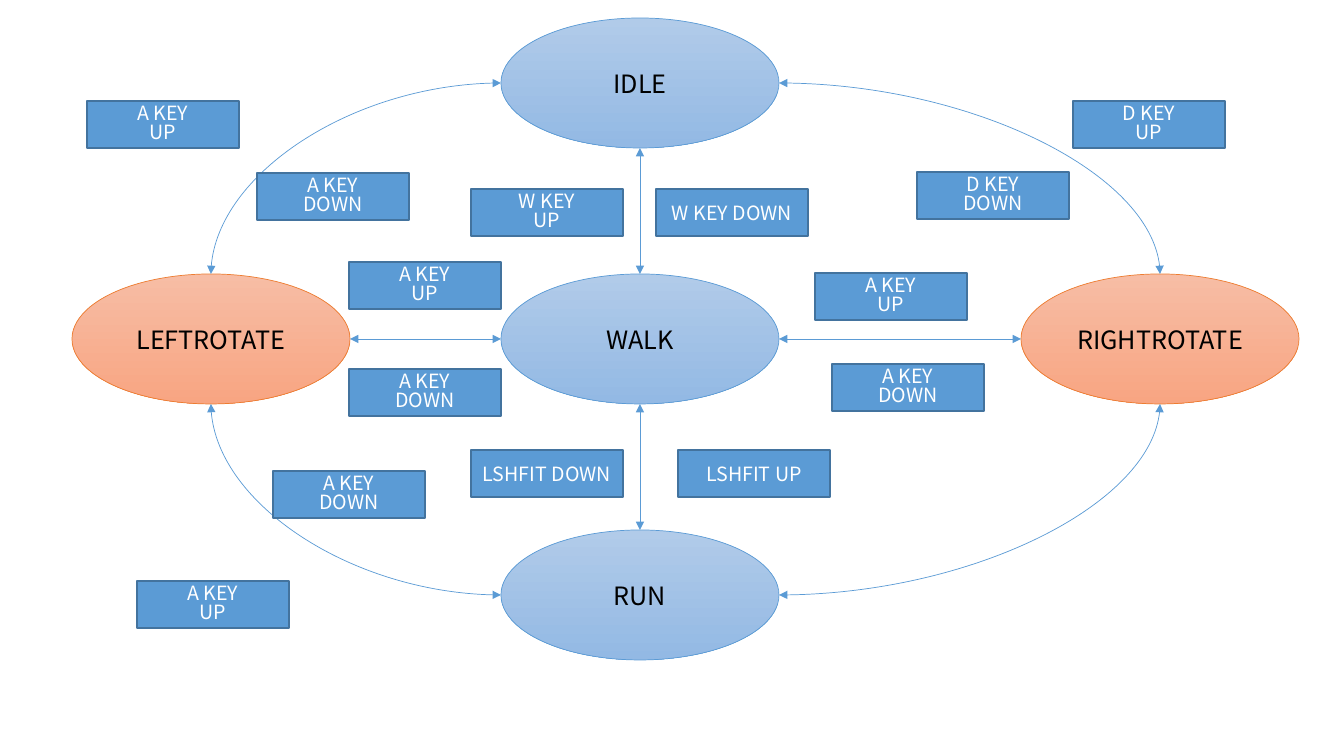
from pptx import Presentation
from pptx.dml.color import RGBColor as RGB
from pptx.enum.shapes import MSO_CONNECTOR as LINK, MSO_SHAPE as SHAPE
from pptx.enum.text import MSO_ANCHOR as ANCHOR, PP_ALIGN as ALIGN
from pptx.oxml.ns import qn
from pptx.util import Pt
from lxml.etree import SubElement as Sub

PX = 914400 / 100.8
HEX = {
    "blue": "5B9BD5", "edge": "43739E", "orange": "ED7D31",
    "black": "000000", "white": "FFFFFF",
    "blue top": "B1CBE9", "blue end": "93B9E4",
    "orange top": "F7BDA5", "orange end": "F8A582",
}
RGBS = {name: RGB.from_string(code) for name, code in HEX.items()}


def px(*vals):
    return [round(val * PX) for val in vals]


def add_node(kind, box, text, size, ink, edge, width):
    node = page.shapes.add_shape(kind, *px(*box))
    node.shadow.inherit = False
    node.line.color.rgb = RGBS[edge]
    node.line.width = Pt(width)
    frame = node.text_frame
    frame.text = text
    frame.word_wrap = True
    frame.vertical_anchor = ANCHOR.MIDDLE
    look = {"name": "Noto Sans CJK KR", "size": Pt(size)}
    for para in frame.paragraphs:
        para.alignment = ALIGN.CENTER
        if "\n" in text:
            para.line_spacing = 0.8
        for key, val in look.items():
            setattr(para.font, key, val)
        para.font.color.rgb = RGBS[ink]
    return node


deck = Presentation()
deck.slide_width, deck.slide_height = px(1344, 756)
page = deck.slides.add_slide(deck.slide_layouts[6])

# States: centre and half size of each ellipse
LEFT, MID, RIGHT = 211, 640, 1160
TOP, ROW, LOW = 83, 339, 595
HALF_W, HALF_H = 139, 65
states = [
    ("IDLE", MID, TOP, "blue"),
    ("WALK", MID, ROW, "blue"),
    ("RUN", MID, LOW, "blue"),
    ("LEFTROTATE", LEFT, ROW, "orange"),
    ("RIGHTROTATE", RIGHT, ROW, "orange"),
]
for name, x, y, hue in states:
    box = (x - HALF_W, y - HALF_H, 2 * HALF_W, 2 * HALF_H)
    fill = add_node(SHAPE.OVAL, box, name, 18, "black", hue, 0.5).fill
    fill.gradient()
    fill.gradient_angle = 270
    for stop, end in zip(fill.gradient_stops, ("top", "end")):
        stop.color.rgb = RGBS[f"{hue} {end}"]

# Links: straight ones along the axes, arcs around the corners
links = [
    (LINK.STRAIGHT, MID, TOP + HALF_H, MID, ROW - HALF_H),
    (LINK.STRAIGHT, MID, ROW + HALF_H, MID, LOW - HALF_H),
    (LINK.CURVE, LEFT + HALF_W, ROW, MID - HALF_W, ROW),
    (LINK.CURVE, MID + HALF_W, ROW, RIGHT - HALF_W, ROW),
]
for side, x in ((-1, LEFT), (1, RIGHT)):
    for turn, y in ((-1, TOP), (1, LOW)):
        links.append((LINK.CURVE, MID + side * HALF_W, y,
                      x, ROW + turn * HALF_H))
for kind, x1, y1, x2, y2 in links:
    link = page.shapes.add_connector(kind, *px(x1, y1, x2, y2))
    link.line.color.rgb = RGBS["blue"]
    link.line.width = Pt(0.5)
    props = link._element.spPr
    if x1 != x2 and y1 != y2:
        props.find(qn("a:prstGeom")).set("prst", "curvedConnector2")
    for end in ("a:headEnd", "a:tailEnd"):
        Sub(link.line._get_or_add_ln(), qn(end), type="triangle")
    Sub(props, qn("a:effectLst"))

# Key labels
LABEL_W, LABEL_H = 152, 47
labels = [
    ("W KEY DOWN", 656, 189), ("W KEY\nUP", 471, 189),
    ("LSHFIT DOWN", 471, 450), ("LSHFIT UP", 678, 450),
    ("A KEY\nUP", 87, 101), ("A KEY\nDOWN", 257, 173),
    ("D KEY\nUP", 1073, 101), ("D KEY\nDOWN", 917, 172),
    ("A KEY\nUP", 137, 581), ("A KEY\nDOWN", 273, 471),
    ("A KEY\nUP", 349, 262), ("A KEY\nDOWN", 349, 369),
    ("A KEY\nUP", 815, 273), ("A KEY\nDOWN", 832, 364),
]
for text, x, y in labels:
    box = (x, y, LABEL_W, LABEL_H)
    fill = add_node(SHAPE.RECTANGLE, box, text, 14, "white", "edge", 1).fill
    fill.solid()
    fill.fore_color.rgb = RGBS["blue"]

deck.save("out.pptx")
